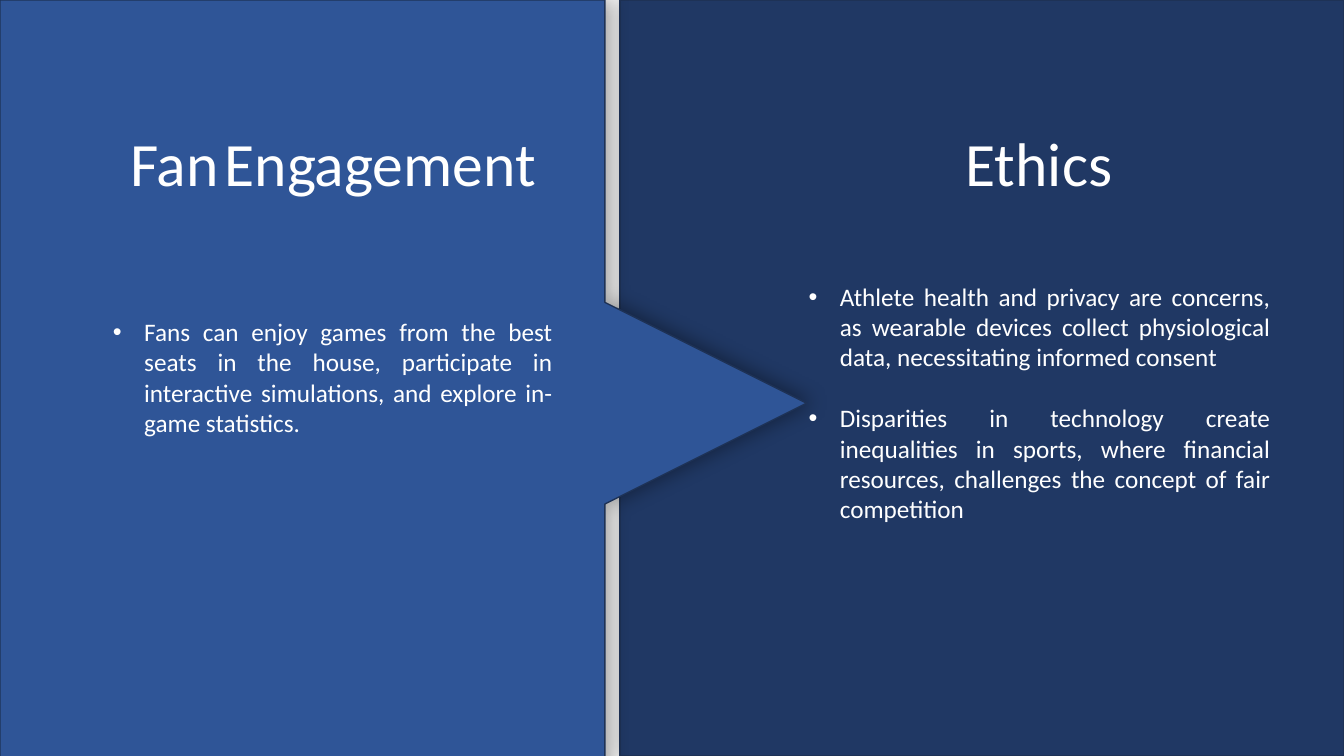
from dataclasses import dataclass

from lxml.etree import SubElement
from pptx import Presentation
from pptx.dml.color import RGBColor as RGB
from pptx.enum.shapes import MSO_SHAPE as SHAPE
from pptx.enum.text import MSO_ANCHOR as ANCHOR, MSO_AUTO_SIZE as AUTO, PP_ALIGN as ALIGN
from pptx.oxml.ns import qn
from pptx.util import Inches, Pt


@dataclass(frozen=True)
class Theme:
    navy: RGB = RGB(0x20, 0x38, 0x64)
    blue: RGB = RGB(0x2F, 0x55, 0x97)
    edge: RGB = RGB(0x1E, 0x32, 0x56)
    white: RGB = RGB(0xFF, 0xFF, 0xFF)
    font: str = "Calibri"
    heading: int = 44
    body: int = 18
    gap: int = 22


class SlideBuilder:
    """Draws styled panels and text on one slide."""

    def __init__(self, slide, theme):
        self.slide = slide
        self.theme = theme
        self.shapes = slide.shapes

    def style_panel(self, sp, fill):
        sp.fill.solid()
        sp.fill.fore_color.rgb = fill
        sp.line.color.rgb = self.theme.edge
        sp.line.width = Pt(1)
        sp.shadow.inherit = False
        effects = sp._element.spPr.find(qn("a:effectLst"))
        shadow = SubElement(effects, qn("a:outerShdw"), blurRad=str(Pt(15)),
                            dist=str(Pt(3)), dir="0", algn="l", rotWithShape="0")
        color = SubElement(shadow, qn("a:srgbClr"), val="000000")
        SubElement(color, qn("a:alpha"), val="40000")

    def rectangle(self, x, y, w, h, fill):
        sp = self.shapes.add_shape(SHAPE.RECTANGLE, Inches(x), Inches(y), Inches(w), Inches(h))
        self.style_panel(sp, fill)

    def outline(self, points, fill):
        start, *rest = points
        builder = self.shapes.build_freeform(*start, scale=Inches(1))
        builder.add_line_segments(rest, close=True)
        self.style_panel(builder.convert_to_shape(), fill)

    def place(self, sp, x, y, w, h):
        sp.left, sp.top, sp.width, sp.height = Inches(x), Inches(y), Inches(w), Inches(h)
        self.shapes._spTree.append(sp._element)
        tf = sp.text_frame
        tf.word_wrap = True
        tf.auto_size = AUTO.NONE
        tf.vertical_anchor = ANCHOR.TOP
        return tf

    def style_run(self, r, size):
        r.font.name = self.theme.font
        r.font.size = Pt(size)
        r.font.bold = False
        r.font.color.rgb = self.theme.white

    def heading(self, sp, box, words):
        p = self.place(sp, *box).paragraphs[0]
        p.alignment = ALIGN.CENTER
        p.space_before = Pt(0)
        for i, word in enumerate(words):
            if i:
                r = p.add_run()
                r.text = " "
                self.style_run(r, self.theme.body)
            r = p.add_run()
            r.text = word
            self.style_run(r, self.theme.heading)

    def bullets(self, sp, box, items):
        tf = self.place(sp, *box)
        for i, item in enumerate(items):
            p = tf.add_paragraph() if i else tf.paragraphs[0]
            p.text = item
            pPr = p._p.get_or_add_pPr()
            pPr.set("marL", str(Inches(0.31)))
            pPr.set("indent", str(Inches(-0.31)))
            SubElement(pPr, qn("a:buFont"), typeface="Arial")
            SubElement(pPr, qn("a:buChar"), char="•")
            p.alignment = ALIGN.JUSTIFY
            p.space_before = Pt(self.theme.gap if i else 0)
            self.style_run(p.runs[0], self.theme.body)


def main():
    prs = Presentation()
    prs.slide_width, prs.slide_height = Inches(13.33), Inches(7.5)
    s = prs.slides.add_slide(prs.slide_layouts[4])
    theme = Theme()
    draw = SlideBuilder(s, theme)
    holders = {sp.placeholder_format.idx: sp for sp in s.placeholders}

    draw.rectangle(6.15, 0, 7.18, 7.5, theme.navy)
    draw.outline([(0, 0), (6.18, 0), (6.18, 2.76), (7.56, 3.63),
                  (6.18, 4.51), (6.18, 7.5), (0, 7.5)], theme.blue)

    draw.heading(s.shapes.title, (0.76, 1.19, 5.09, 0.84), ["Fan", "Engagement"])
    draw.heading(holders[3], (7.76, 1.19, 5.09, 0.84), ["Ethics"])
    draw.bullets(holders[2], (1.02, 3.09, 4.56, 1.31), [
        "Fans can enjoy games from the best seats in the house, participate in "
        "interactive simulations, and explore in-game statistics.",
    ])
    draw.bullets(holders[4], (7.92, 2.74, 4.78, 2.52), [
        "Athlete health and privacy are concerns, as wearable devices collect "
        "physiological data, necessitating informed consent",
        "Disparities in technology create inequalities in sports, where financial "
        "resources, challenges the concept of fair competition",
    ])

    unused = holders[1]._element
    unused.getparent().remove(unused)
    prs.save("out.pptx")


if __name__ == "__main__":
    main()
